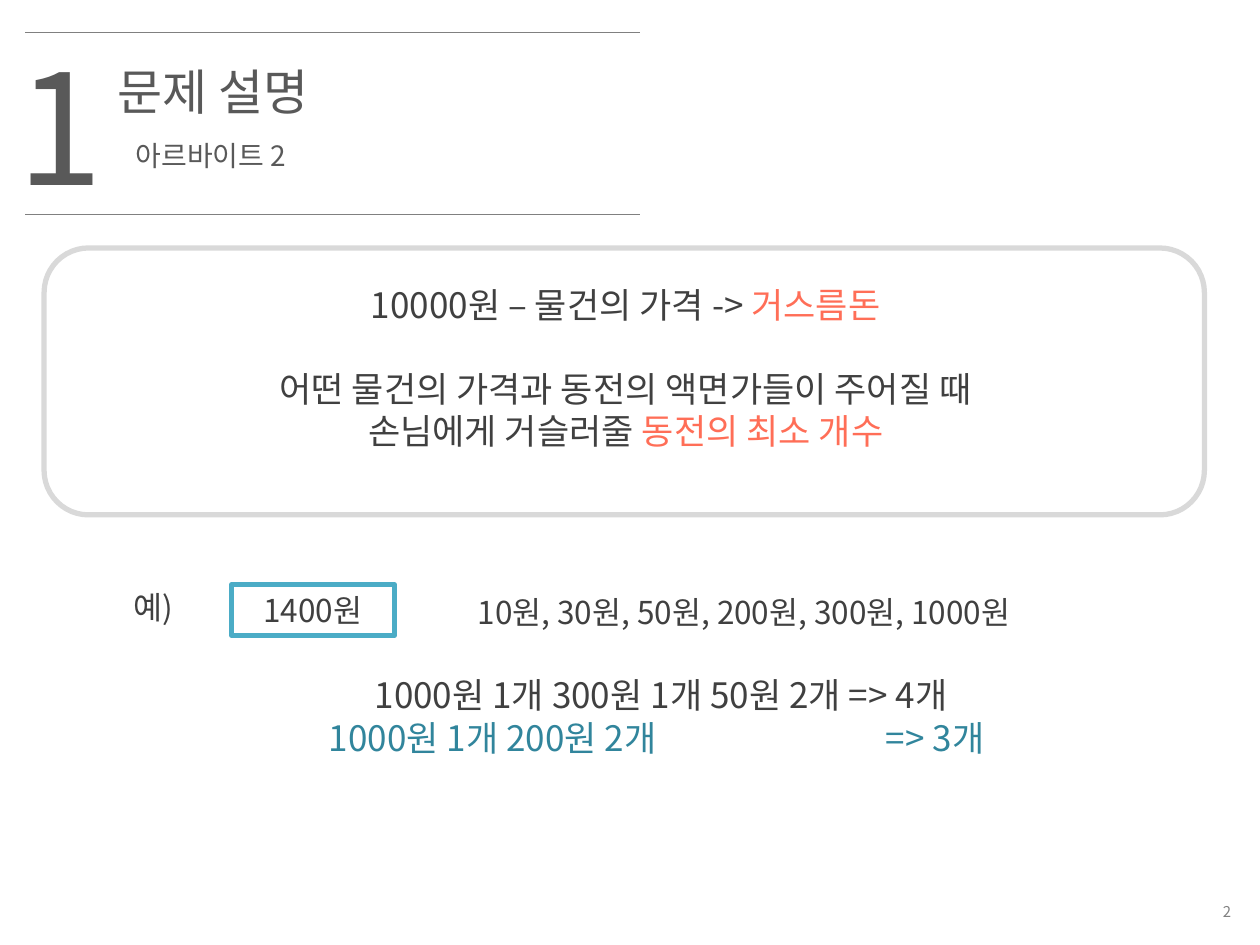
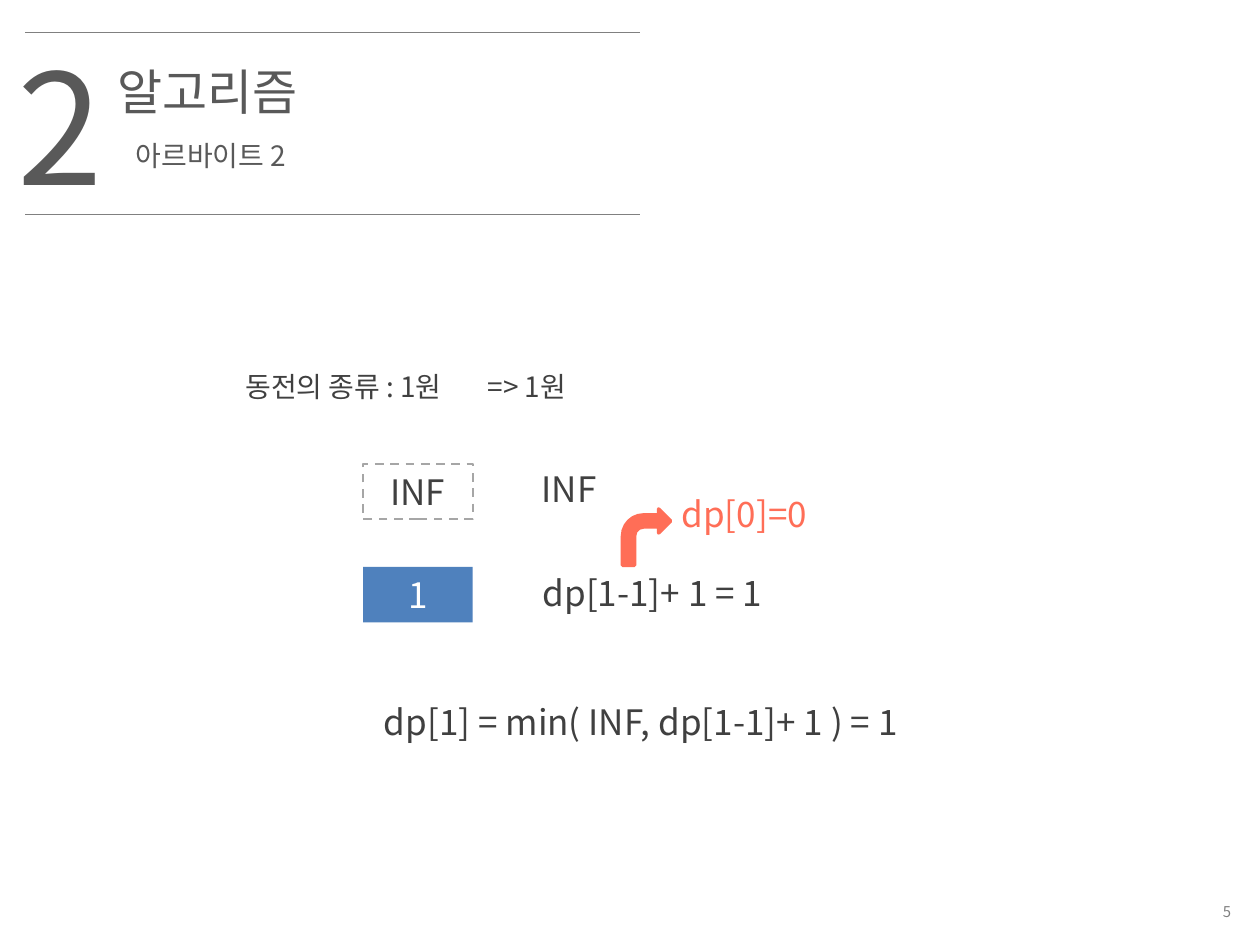
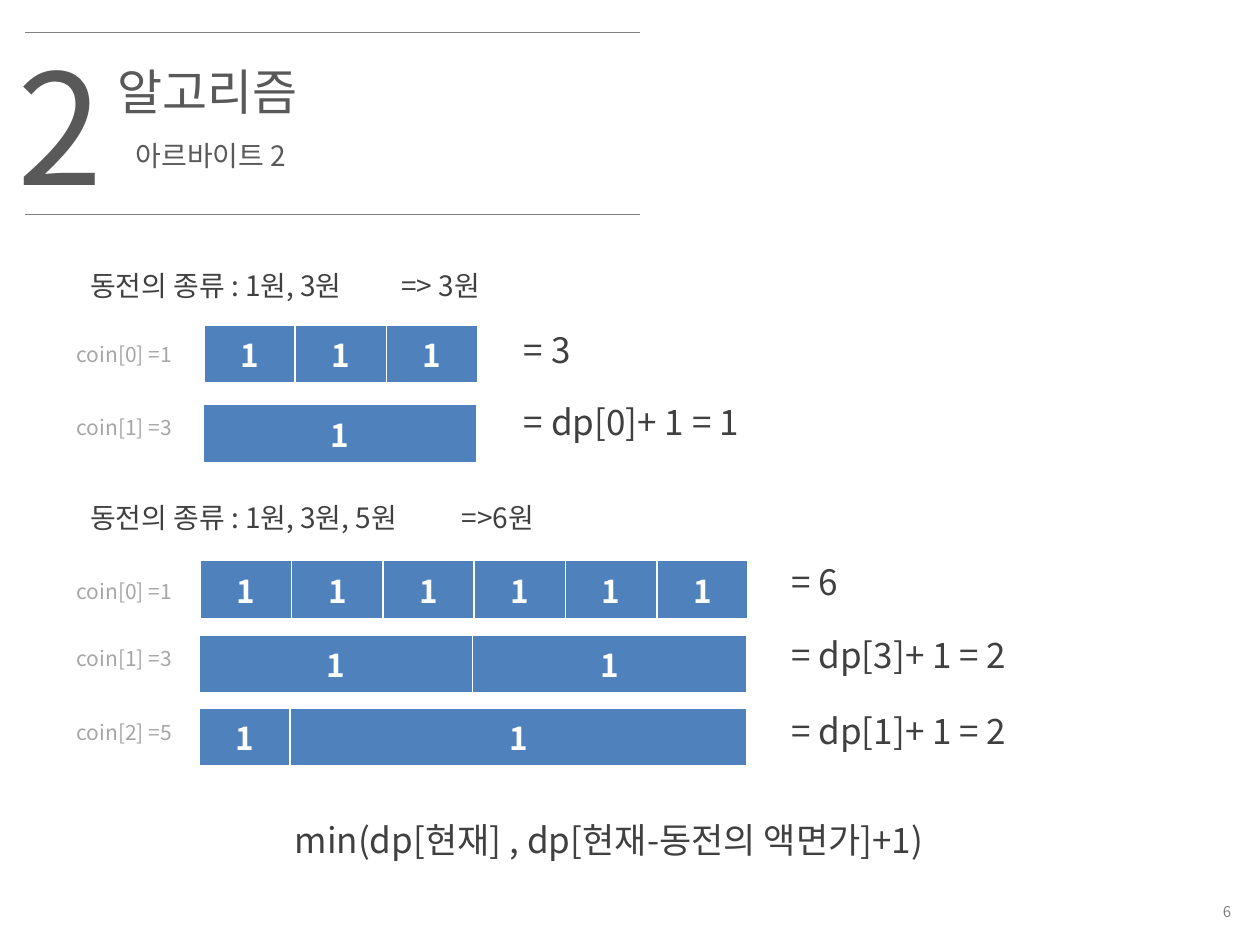
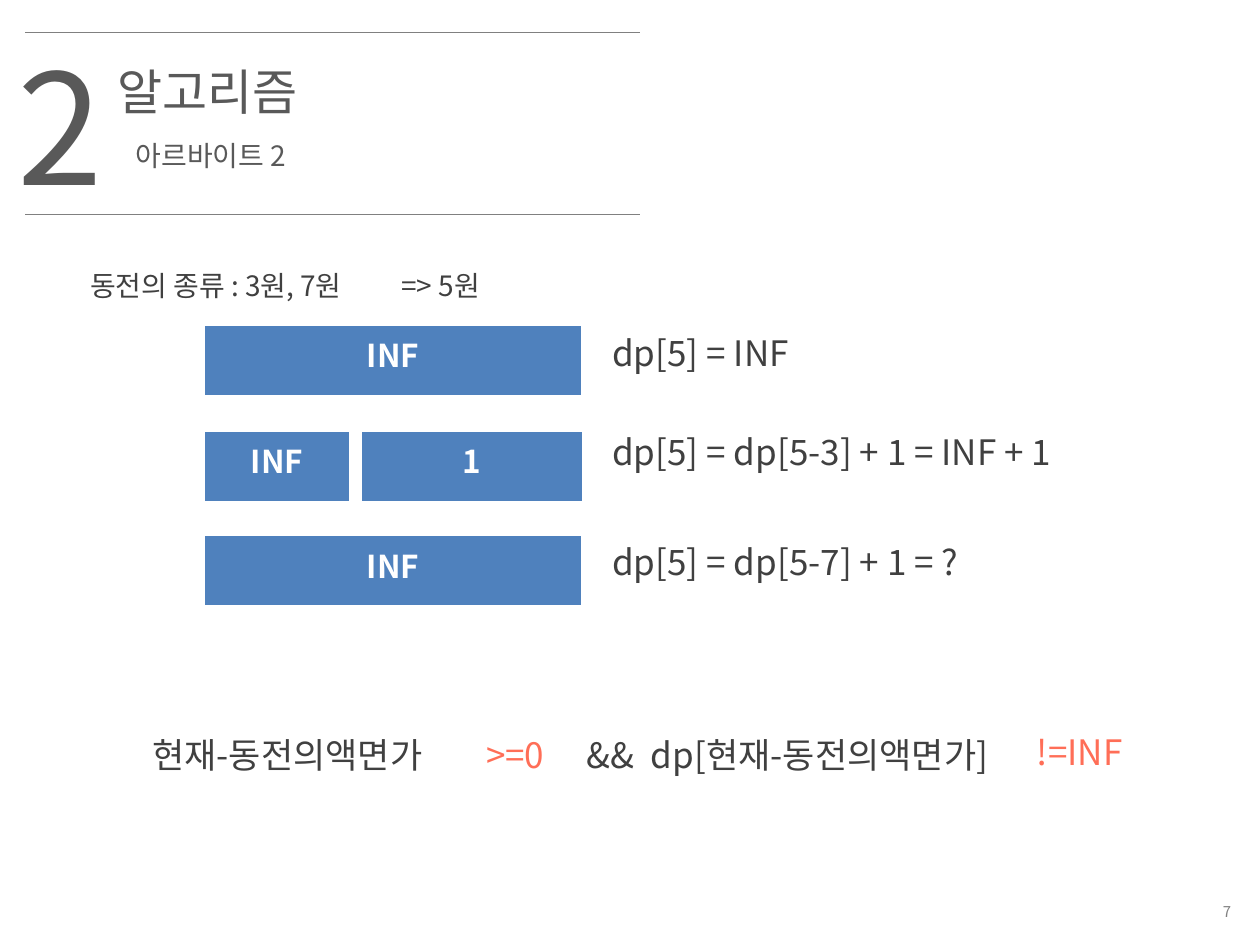
from dataclasses import dataclass

from pptx import Presentation, util as u
from pptx.dml.color import RGBColor
from pptx.enum import dml, shapes, text
from pptx.oxml.ns import qn
from lxml import etree


@dataclass(frozen=True)
class Theme:
    font: str = "Noto Sans CJK KR"
    heading: str = "595959"
    body: str = "404040"
    rule: str = "808080"
    muted: str = "A6A6A6"
    frame: str = "D9D9D9"
    accent: str = "FF6E57"
    teal: str = "31859C"
    cyan: str = "4BACC6"
    blue: str = "4F81BD"
    white: str = "FFFFFF"
    number_size: float = 88
    title_size: float = 28
    body_size: float = 20
    value_size: float = 18
    lead_size: float = 16
    label_size: float = 12
    page_size: float = 8.5


T = Theme()
LEFT, CENTER, RIGHT = text.PP_ALIGN.LEFT, text.PP_ALIGN.CENTER, text.PP_ALIGN.RIGHT


def format_text(tf, size=T.body_size, color=T.body, align=LEFT, bold=None):
    for p in tf.paragraphs:
        p.alignment = align
        for r in p.runs:
            r.font.size = u.Pt(size)
            r.font.name = T.font
            r.font.bold = bold
            r.font.color.rgb = RGBColor.from_string(color)
            etree.SubElement(r.font._element, qn("a:ea"), typeface=T.font)


def add_text(s, x, y, w, h, words, size=T.body_size, color=T.body, align=LEFT, tab=None):
    sp = s.shapes.add_textbox(u.Cm(x), u.Cm(y), u.Cm(w), u.Cm(h))
    tf = sp.text_frame
    tf.word_wrap = True
    tf.text = words
    format_text(tf, size, color, align)
    if tab:
        tabs = etree.SubElement(tf.paragraphs[0]._p.get_or_add_pPr(), qn("a:tabLst"))
        etree.SubElement(tabs, qn("a:tab"), pos=str(u.Cm(tab)), algn="l")
    return tf


prs = Presentation()
prs.slide_width, prs.slide_height = u.Cm(25.4), u.Cm(19.05)

for number, title, page in [
    ("1", "문제 설명", "2"),
    ("2", "알고리즘", "5"),
    ("2", "알고리즘", "6"),
    ("2", "알고리즘", "7"),
]:
    s = prs.slides.add_slide(prs.slide_layouts[5])
    sp = s.shapes.title
    sp.left, sp.top, sp.width, sp.height = u.Cm(2.11), u.Cm(1.12), u.Cm(11.4), u.Cm(1.45)
    tf = sp.text_frame
    tf.text = title
    tf.vertical_anchor = text.MSO_ANCHOR.TOP
    tf.auto_size = text.MSO_AUTO_SIZE.NONE
    format_text(tf, T.title_size, T.heading)
    tf = add_text(s, 2.49, 2.74, 11.6, 0.89, "아르바이트 2", T.lead_size, T.heading)
    tf.paragraphs[0].line_spacing = u.Pt(17)
    add_text(s, 0.1, 0.51, 3, 4.01, number, T.number_size, T.heading)
    for y in (0.66, 4.32):
        ln = s.shapes.add_connector(
            shapes.MSO_CONNECTOR.STRAIGHT, u.Cm(0.51), u.Cm(y), u.Cm(12.9), u.Cm(y))
        ln.line.color.rgb = RGBColor.from_string(T.rule)
        ln.line.width = u.Pt(0.75)
        etree.SubElement(ln._element.spPr, qn("a:effectLst"))
    tf = add_text(s, 19.71, 18.03, 5.36, 0.69, page, T.page_size, T.rule, RIGHT)
    tf.vertical_anchor = text.MSO_ANCHOR.MIDDLE

problem, single, several, infinite = prs.slides

S = shapes.MSO_SHAPE
for s, kind, x, y, w, h, words, size, color, fill, line, width, dash in [
    (problem, S.ROUNDED_RECTANGLE, 0.89, 5, 23.39, 5.38, "", T.body_size, T.body, None, T.frame, 3, None),
    (problem, S.RECTANGLE, 4.67, 11.79, 3.28, 1.02, "1400원", T.value_size, T.body, None, T.cyan, 3, None),
    (single, S.BENT_ARROW, 12.55, 10.26, 0.97, 1.14, "", T.body_size, T.body, T.accent, T.accent, 2, None),
    (single, S.RECTANGLE, 7.32, 9.35, 2.21, 1.12, "INF", T.body_size, T.body, None, T.muted, 1.25,
     dml.MSO_LINE.DASH),
    (single, S.RECTANGLE, 7.32, 11.43, 2.21, 1.12, "1", T.body_size, T.white, T.blue, None, 0, None),
]:
    sp = s.shapes.add_shape(kind, u.Cm(x), u.Cm(y), u.Cm(w), u.Cm(h))
    sp.shadow.inherit = False
    if fill:
        sp.fill.solid()
        sp.fill.fore_color.rgb = RGBColor.from_string(fill)
    else:
        sp.fill.background()
    if line:
        sp.line.color.rgb = RGBColor.from_string(line)
        sp.line.width = u.Pt(width)
        sp.line.dash_style = dash
    else:
        sp.line.fill.background()
    if words:
        sp.text_frame.text = words
        format_text(sp.text_frame, size, color, CENTER)

tf = add_text(problem, 3.38, 5.59, 18.47, 4.52,
              "10000원 – 물건의 가격 -> \n어떤 물건의 가격과 동전의 액면가들이 주어질 때\n손님에게 거슬러줄 ",
              align=CENTER)
tf.paragraphs[1].space_before = u.Pt(24)
for i, words in ((0, "거스름돈"), (2, "동전의 최소 개수")):
    r = tf.paragraphs[i].add_run()
    r.text = words
    r.font.size = u.Pt(T.body_size)
    r.font.name = T.font
    r.font.color.rgb = RGBColor.from_string(T.accent)
    etree.SubElement(r.font._element, qn("a:ea"), typeface=T.font)

add_text(problem, 1.7, 11.73, 2.77, 1.02, "예)", T.value_size, align=CENTER)
add_text(problem, 8.4, 11.84, 13.2, 1.02, "10원, 30원, 50원, 200원, 300원, 1000원", T.value_size, align=CENTER)
add_text(problem, 4.09, 13.46, 18.47, 1.12, "1000원 1개 300원 1개 50원 2개 => 4개", align=CENTER)
add_text(problem, 6.38, 14.32, 15, 1.12, "1000원 1개 200원 2개\t=> 3개", color=T.teal, tab=11.23)

for s, x, y, words, tab in [
    (single, 4.7, 7.32, "동전의 종류 : 1원\t=> 1원", 4.88),
    (several, 1.57, 5.28, "동전의 종류 : 1원, 3원\t=> 3원", 6.27),
    (several, 1.57, 9.96, "동전의 종류 : 1원, 3원, 5원\t=>6원", 7.49),
    (infinite, 1.57, 5.28, "동전의 종류 : 3원, 7원\t=> 5원", 6.27),
]:
    add_text(s, x, y, 11, 0.94, words, T.lead_size, tab=tab)

for s, x, y, words in [
    (single, 10.67, 9.3, "INF"),
    (single, 10.69, 11.4, "dp[1-1]+ 1 = 1"),
    (single, 7.49, 14, "dp[1] = min( INF, dp[1-1]+ 1 ) = 1"),
    (several, 10.31, 6.5, "= 3"),
    (several, 10.31, 7.95, "= dp[0]+ 1 = 1"),
    (several, 15.7, 11.18, "= 6"),
    (several, 15.7, 12.65, "= dp[3]+ 1 = 2"),
    (several, 15.7, 14.17, "= dp[1]+ 1 = 2"),
    (several, 5.69, 16.38, "min(dp[현재] , dp[현재-동전의 액면가]+1)"),
    (infinite, 12.09, 6.55, "dp[5] = INF"),
    (infinite, 12.09, 8.56, "dp[5] = dp[5-3] + 1 = INF + 1"),
    (infinite, 12.09, 10.77, "dp[5] = dp[5-7] + 1 = ?"),
]:
    add_text(s, x, y, 16.38, 1.12, words)

for y, words in [
    (6.76, "coin[0] =1"),
    (8.23, "coin[1] =3"),
    (11.53, "coin[0] =1"),
    (12.88, "coin[1] =3"),
    (14.38, "coin[2] =5"),
]:
    add_text(several, 1.3, y, 3.02, 0.76, words, T.label_size, T.muted)

add_text(single, 13.49, 9.8, 4.78, 1.12, "dp[0]=0", color=T.accent)
add_text(infinite, 2.82, 14.66, 7.6, 1.12, "현재-동전의액면가")
add_text(infinite, 9.55, 14.66, 2.59, 1.12, ">=0", color=T.accent)
add_text(infinite, 11.58, 14.66, 9.58, 1.12, "&&\tdp[현재-동전의액면가]", tab=1.29)
add_text(infinite, 20.65, 14.61, 2.59, 1.12, "!=INF", color=T.accent)

COIN = 1.84
for s, x, y, h, widths, values in [
    (several, 4.11, 6.55, 1.17, [COIN] * 3, ["1"] * 3),
    (several, 4.09, 8.15, 1.17, [COIN * 3], ["1"]),
    (several, 4.04, 11.3, 1.17, [COIN] * 6, ["1"] * 6),
    (several, 4.01, 12.8, 1.17, [COIN * 3] * 2, ["1"] * 2),
    (several, 4.01, 14.27, 1.17, [COIN, COIN * 5], ["1"] * 2),
    (infinite, 4.11, 6.55, 1.42, [7.62], ["INF"]),
    (infinite, 4.11, 8.69, 1.42, [2.95], ["INF"]),
    (infinite, 7.29, 8.69, 1.42, [4.45], ["1"]),
    (infinite, 4.11, 10.8, 1.42, [7.62], ["INF"]),
]:
    tbl = s.shapes.add_table(
        1, len(widths), u.Cm(x), u.Cm(y), u.Cm(sum(widths)), u.Cm(h)).table
    tbl.horz_banding = False
    for col, cell, w, value in zip(tbl.columns, tbl.iter_cells(), widths, values):
        col.width = u.Cm(w)
        cell.fill.solid()
        cell.fill.fore_color.rgb = RGBColor.from_string(T.blue)
        cell.text_frame.text = value
        format_text(cell.text_frame, T.value_size, T.white, CENTER, True)

prs.save("out.pptx")
